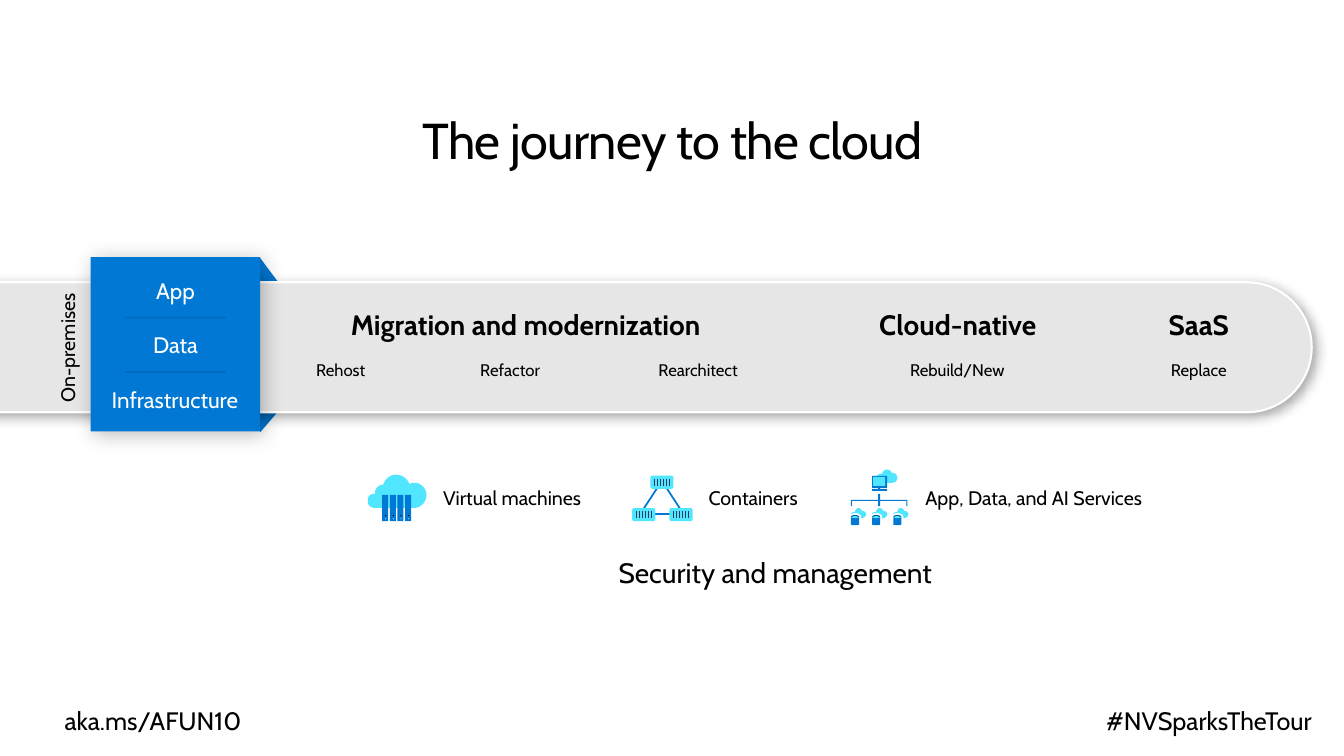
from lxml import etree
from pptx import Presentation
from pptx import util as u
from pptx.dml.color import RGBColor
from pptx.enum import shapes, text
from pptx.oxml.ns import qn

HUES = {"ink": "000000", "white": "FFFFFF", "bar": "E6E6E6", "blue": "0078D4",
        "deep": "005A9F", "cyan": "50E6FF", "navy": "243A5E"}
KIND = shapes.MSO_SHAPE
ALIGN = text.PP_ALIGN
TOP, MID = text.MSO_ANCHOR.TOP, text.MSO_ANCHOR.MIDDLE

deck = Presentation()
deck.slide_width, deck.slide_height = u.Inches(13.33), u.Inches(7.5)
slide = deck.slides.add_slide(deck.slide_layouts[6])
tree = slide.shapes


def block(kind, x, y, w, h, hue):
    shape = tree.add_shape(kind, *map(u.Inches, (x, y, w, h)))
    shape.shadow.inherit = False
    shape.line.fill.background()
    if hue:
        shape.fill.solid()
        shape.fill.fore_color.rgb = RGBColor.from_string(HUES[hue])
    else:
        shape.fill.background()
    return shape


def outline(steps, hue, dx=0):
    spots = [steps[0]]
    for step in steps[1:]:
        if len(step) == 2:
            spots.append(step)
            continue
        ends = [spots[-1], step[:2], step[2:4], step[4:]]
        for n in range(1, 9):
            t = n / 8
            part = ((1 - t) ** 3, 3 * t * (1 - t) ** 2, 3 * t * t * (1 - t), t ** 3)
            spots.append(tuple(sum(p * end[i] for p, end in zip(part, ends))
                               for i in (0, 1)))
    dots = [(u.Inches(x + dx), u.Inches(y)) for x, y in spots]
    pen = tree.build_freeform(*dots[0], scale=1.0)
    pen.add_line_segments(dots[1:], close=True)
    shape = pen.convert_to_shape()
    shape.shadow.inherit = False
    shape.line.fill.background()
    shape.fill.solid()
    shape.fill.fore_color.rgb = RGBColor.from_string(HUES[hue])


# Journey bar and card
block(KIND.RIGHT_TRIANGLE, 2.58, 2.56, 0.18, 0.24, "blue")
fold = block(KIND.RIGHT_TRIANGLE, 2.58, 4.08, 0.18, 0.21, "blue")
fold._element.spPr.find(qn("a:xfrm")).set("flipV", "1")
bar = block(KIND.ROUNDED_RECTANGLE, -1.66, 2.8, 14.67, 1.29, "bar")
bar.adjustments[0] = 0.5
bar.line.color.rgb = RGBColor.from_string(HUES["white"])
bar.line.width = u.Pt(1.5)
card = block(KIND.RECTANGLE, 0.9, 2.55, 1.68, 1.73, "blue")
for shape, alpha, blur, dist in ((bar, 35, 9, 2), (card, 25, 15, 3)):
    glow = etree.SubElement(
        shape._element.spPr.find(qn("a:effectLst")), qn("a:outerShdw"),
        blurRad=str(u.Pt(blur)), dist=str(u.Pt(dist)), dir="2700000",
        algn="tl", rotWithShape="0")
    tint = etree.SubElement(glow, qn("a:srgbClr"), val=HUES["ink"])
    etree.SubElement(tint, qn("a:alpha"), val=str(alpha * 1000))

# Container icon
peak = block(KIND.ISOSCELES_TRIANGLE, 6.35, 4.77, 0.43, 0.33, None)
peak.line.color.rgb = RGBColor.from_string(HUES["blue"])
peak.line.width = u.Pt(1.25)
rules = [(1.24, y, 2.24, y, "ink", 1.25) for y in (3.15, 3.69)]
for x, y in ((6.27, 5.04), (6.64, 5.04), (6.45, 4.72)):
    block(KIND.ROUNDED_RECTANGLE, x, y, 0.23, 0.13, "cyan")
    for n in range(6):
        left = x + 0.04 + n * 0.03
        rules.append((left, y + 0.03, left, y + 0.1, "navy", 1))
for x, y, right, low, hue, width in rules:
    rule = tree.add_connector(shapes.MSO_CONNECTOR.STRAIGHT,
                              *map(u.Inches, (x, y, right, low)))
    rule.line.color.rgb = RGBColor.from_string(HUES[hue])
    rule.line.width = u.Pt(width)
    spot = rule._element.spPr
    etree.SubElement(spot, qn("a:effectLst"))
    if hue == "ink":
        etree.SubElement(next(spot.iter(qn("a:srgbClr"))), qn("a:alpha"), val="10000")

# Virtual machine icon
outline([(3.93, 4.71), (3.99, 4.71, 4.04, 4.75, 4.06, 4.8), (4.07, 4.8),
         (4.08, 4.79, 4.1, 4.79, 4.11, 4.79), (4.18, 4.79, 4.23, 4.85, 4.23, 4.91),
         (4.23, 4.98, 4.18, 5.03, 4.12, 5.04), (3.71, 5.04),
         (3.7, 5.04, 3.7, 5.04, 3.69, 5.03), (3.66, 5.03, 3.64, 4.99, 3.65, 4.95),
         (3.65, 4.92, 3.68, 4.9, 3.71, 4.9), (3.72, 4.9),
         (3.72, 4.88, 3.72, 4.87, 3.73, 4.85), (3.74, 4.83, 3.77, 4.81, 3.79, 4.81),
         (3.8, 4.81), (3.82, 4.75, 3.87, 4.71, 3.93, 4.71)], "cyan")
for n in range(4):
    x = 3.79 + n * 0.076
    block(KIND.RECTANGLE, x, 4.91, 0.06, 0.26, "blue")
    block(KIND.RECTANGLE, x + 0.03, 5.14, 0.01, 0.01, "cyan")
    block(KIND.RECTANGLE, x + 0.03, 5.11, 0.01, 0.01, "ink")

# Services icon
outline([(8.9, 4.74), (8.9, 4.71, 8.88, 4.69, 8.84, 4.69),
         (8.84, 4.67, 8.82, 4.66, 8.8, 4.66), (8.77, 4.66, 8.75, 4.68, 8.75, 4.7),
         (8.71, 4.7, 8.69, 4.72, 8.69, 4.75), (8.69, 4.77, 8.71, 4.79, 8.73, 4.79),
         (8.85, 4.79), (8.88, 4.79, 8.9, 4.77, 8.9, 4.74)], "cyan")
outline([(8.73, 4.96), (8.73, 4.9), (8.71, 4.9), (8.71, 4.96), (8.44, 4.96),
         (8.44, 5.02), (8.45, 5.02), (8.45, 4.97), (8.71, 4.97), (8.71, 5.02),
         (8.73, 5.02), (8.73, 4.97), (8.99, 4.97), (8.99, 5.02), (9, 5.02),
         (9, 4.96)], "blue")
for x, y, w, h, hue in ((8.65, 4.72, 0.15, 0.12, "blue"), (8.66, 4.73, 0.12, 0.09, "cyan"),
                        (8.71, 4.84, 0.02, 0.01, "blue"), (8.65, 4.85, 0.15, 0.02, "blue")):
    block(KIND.RECTANGLE, x, y, w, h, hue)
for n in range(3):
    dx = n * 0.21
    outline([(8.55, 5.07), (8.54, 5.05, 8.53, 5.04, 8.51, 5.04),
             (8.5, 5.04, 8.48, 5.06, 8.48, 5.08), (8.45, 5.08, 8.44, 5.09, 8.44, 5.1),
             (8.46, 5.09, 8.47, 5.09, 8.48, 5.09), (8.5, 5.09, 8.51, 5.09, 8.52, 5.1),
             (8.54, 5.11, 8.54, 5.11, 8.54, 5.14), (8.55, 5.14),
             (8.57, 5.14, 8.59, 5.12, 8.59, 5.1), (8.59, 5.08, 8.57, 5.07, 8.55, 5.07)],
            "cyan", dx)
    block(KIND.OVAL, 8.44 + dx, 5.11, 0.08, 0.03, "deep")
    outline([(8.48, 5.14), (8.46, 5.14, 8.44, 5.14, 8.44, 5.13), (8.44, 5.2),
             (8.44, 5.21, 8.46, 5.21, 8.48, 5.21), (8.5, 5.21, 8.52, 5.21, 8.52, 5.2),
             (8.52, 5.13), (8.52, 5.14, 8.5, 5.14, 8.48, 5.14)], "blue", dx)
    block(KIND.OVAL, 8.45 + dx, 5.12, 0.06, 0.02, "cyan")

# Labels: size, hue, bold, side inset, top inset, line spacing, align, anchor, wrap
styles = {
    "title": (36, "ink", False, 0, 0, 1, ALIGN.CENTER, TOP, False),
    "foot": (18, "ink", False, 0, 0, 1, ALIGN.LEFT, TOP, True),
    "tag": (18, "ink", False, 0, 0, 1, ALIGN.RIGHT, TOP, True),
    "stage": (20, "ink", True, 0.1, 0.05, 0.9, ALIGN.CENTER, MID, False),
    "step": (12, "ink", False, 0, 0.1, 0.9, ALIGN.CENTER, TOP, True),
    "side": (14, "ink", False, 0, 0, 1, ALIGN.CENTER, TOP, True),
    "layer": (16, "white", False, 0.1, 0.1, 1, ALIGN.CENTER, TOP, True),
    "tool": (14, "ink", False, 0.1, 0.1, 1, ALIGN.CENTER, TOP, True),
    "list": (14, "ink", False, 0.1, 0.1, 1, ALIGN.LEFT, TOP, True),
    "base": (20, "ink", False, 0.1, 0.1, 1, ALIGN.CENTER, TOP, False),
}
labels = [
    ("title", "The journey to the cloud", 3.94, 1.08, 5.46, 0.61),
    ("stage", "Migration and modernization", 3.16, 3.04, 4.11, 0.4),
    ("stage", "Cloud-native", 8.58, 3.04, 1.84, 0.4),
    ("stage", "SaaS", 11.49, 3.04, 0.8, 0.4),
    ("step", "Rehost", 3.08, 3.5, 0.6, 0.38),
    ("step", "Refactor", 4.68, 3.5, 0.76, 0.38),
    ("step", "Rearchitect", 6.49, 3.5, 0.87, 0.38),
    ("step", "Rebuild/New", 8.92, 3.5, 1.15, 0.38),
    ("step", "Replace", 11.59, 3.5, 0.6, 0.38),
    ("side", "On-premises", -0.16, 3.33, 1.66, 0.24),
    ("layer", "App", 1.34, 2.65, 0.8, 0.47),
    ("layer", "Data", 1.34, 3.19, 0.8, 0.47),
    ("layer", "Infrastructure", 0.85, 3.73, 1.77, 0.47),
    ("tool", "Virtual machines", 4.22, 4.72, 1.72, 0.44),
    ("tool", "Containers", 6.83, 4.72, 1.28, 0.44),
    ("list", "App, Data, and AI Services", 9.08, 4.72, 2.66, 0.44),
    ("base", "Security and management", 5.92, 5.41, 3.54, 0.54),
    ("foot", "aka.ms/AFUN10", 0.64, 7, 4.55, 0.3),
    ("tag", "#NVSparksTheTour", 8.46, 7, 4.55, 0.3),
]
for style, words, x, y, w, h in labels:
    size, hue, bold, side, top, space, align, anchor, wrap = styles[style]
    label = tree.add_textbox(*map(u.Inches, (x, y, w, h)))
    frame = label.text_frame
    frame.text = words
    frame.word_wrap = wrap
    frame.vertical_anchor = anchor
    frame.margin_left = frame.margin_right = u.Inches(side)
    frame.margin_top = frame.margin_bottom = u.Inches(top)
    line = frame.paragraphs[0]
    line.alignment = align
    line.line_spacing = space
    run = line.runs[0]
    run.font.name = "Cabin"
    run.font.size = u.Pt(size)
    run.font.bold = bold
    run.font.color.rgb = RGBColor.from_string(HUES[hue])
    if style == "title":
        run._r.get_or_add_rPr().set("spc", "-50")
    if style == "side":
        label.rotation = 270

deck.save("out.pptx")
